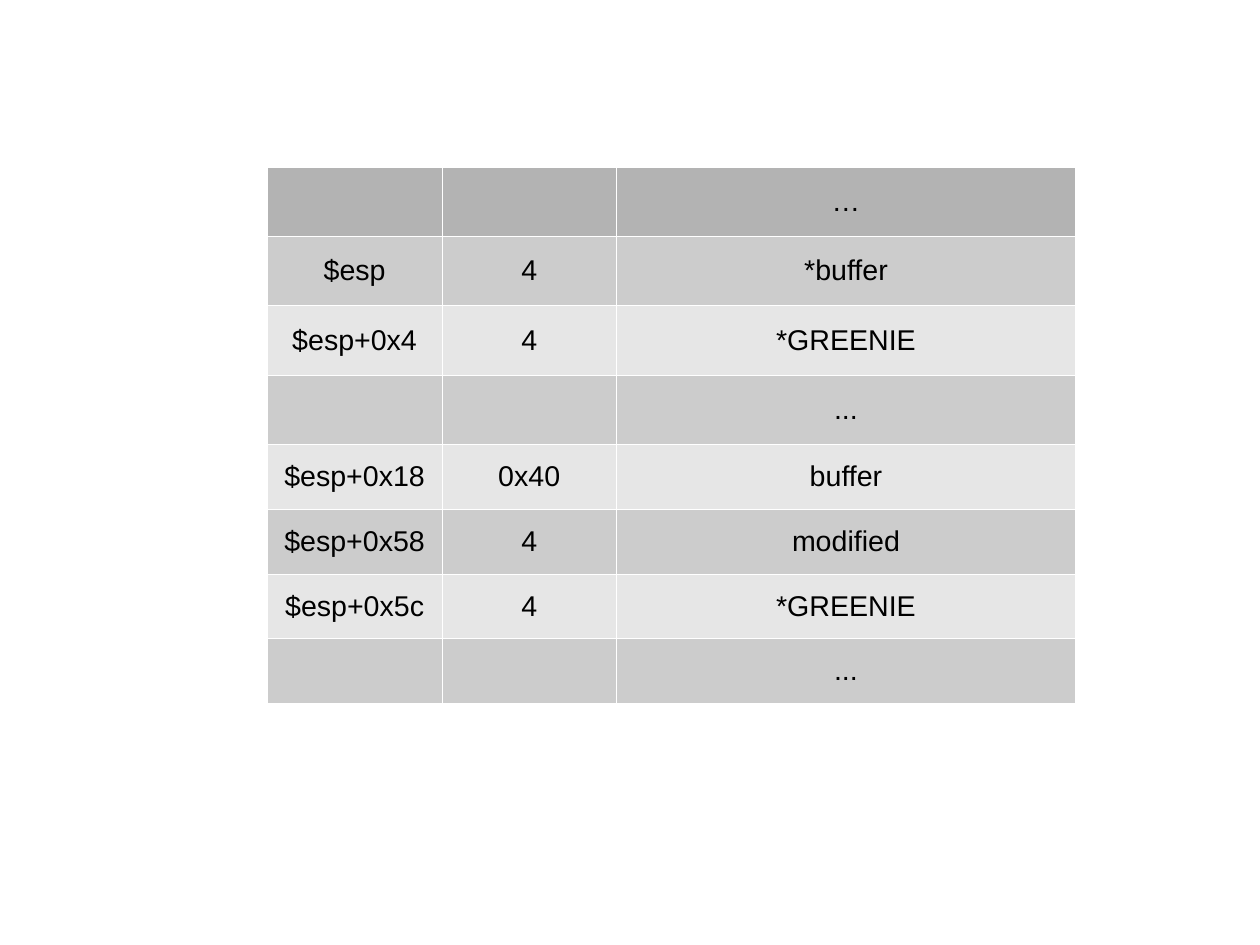
from lxml.etree import SubElement
from pptx import Presentation
from pptx.dml.color import RGBColor
from pptx.enum.text import MSO_ANCHOR, PP_ALIGN
from pptx.oxml.ns import qn
from pptx.util import Cm, Pt

WIDTH, HEIGHT = 28, 21
HEAD, DARK, LIGHT = "B3B3B3", "CCCCCC", "E6E6E6"
COLS = [3.88, 3.88, 10.2]
ROWS = [1.54] * 4 + [1.44] * 4
STACK = [
    ("", "", "…"),
    ("$esp", "4", "*buffer"),
    ("$esp+0x4", "4", "*GREENIE"),
    ("", "", "..."),
    ("$esp+0x18", "0x40", "buffer"),
    ("$esp+0x58", "4", "modified"),
    ("$esp+0x5c", "4", "*GREENIE"),
    ("", "", "..."),
]


def paint(fill, color):
    fill.solid()
    fill.fore_color.rgb = RGBColor.from_string(color)


def add_edges(cell, color, width):
    props = cell._tc.get_or_add_tcPr()
    for side in ("a:lnL", "a:lnR", "a:lnT", "a:lnB"):
        line = SubElement(props, qn(side), w=str(Pt(width)))
        solid = SubElement(line, qn("a:solidFill"))
        SubElement(solid, qn("a:srgbClr"), val=color)


def fill_cell(cell, text, color):
    add_edges(cell, "FFFFFF", 0.06)
    paint(cell.fill, color)
    cell.vertical_anchor = MSO_ANCHOR.MIDDLE
    if not text:
        return
    cell.text_frame.text = text
    para = cell.text_frame.paragraphs[0]
    para.alignment = PP_ALIGN.CENTER
    font = para.runs[0].font
    font.name = "Arial"
    font.size = Pt(18)
    font.bold = False
    paint(font.fill, "000000")


def add_stack(slide, left, top, cols, rows):
    """Draw the stack layout with a head row and banded rows below it."""
    frame = slide.shapes.add_table(
        len(rows), len(cols), Cm(left), Cm(top),
        Cm(sum(cols)), Cm(sum(rows)))
    table = frame.table
    table.first_row = table.horz_banding = False
    for col, width in zip(table.columns, cols):
        col.width = Cm(width)
    for i, (row, height, texts) in enumerate(zip(table.rows, rows, STACK)):
        row.height = Cm(height)
        color = HEAD if i == 0 else DARK if i % 2 else LIGHT
        for cell, text in zip(row.cells, texts):
            fill_cell(cell, text, color)


def main():
    deck = Presentation()
    deck.slide_width, deck.slide_height = Cm(WIDTH), Cm(HEIGHT)
    slide = deck.slides.add_slide(deck.slide_layouts[6])
    add_stack(slide, 5.94, 3.71, COLS, ROWS)
    deck.save("out.pptx")


if __name__ == "__main__":
    main()
